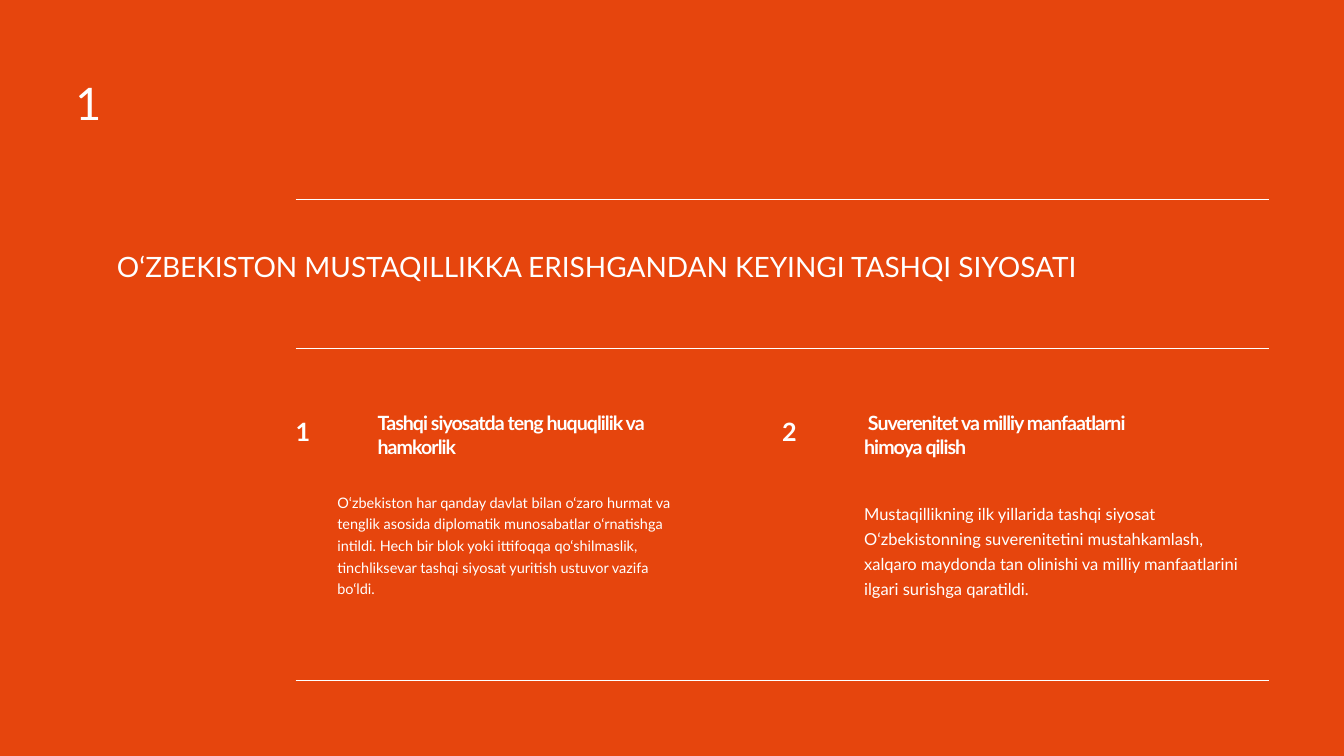
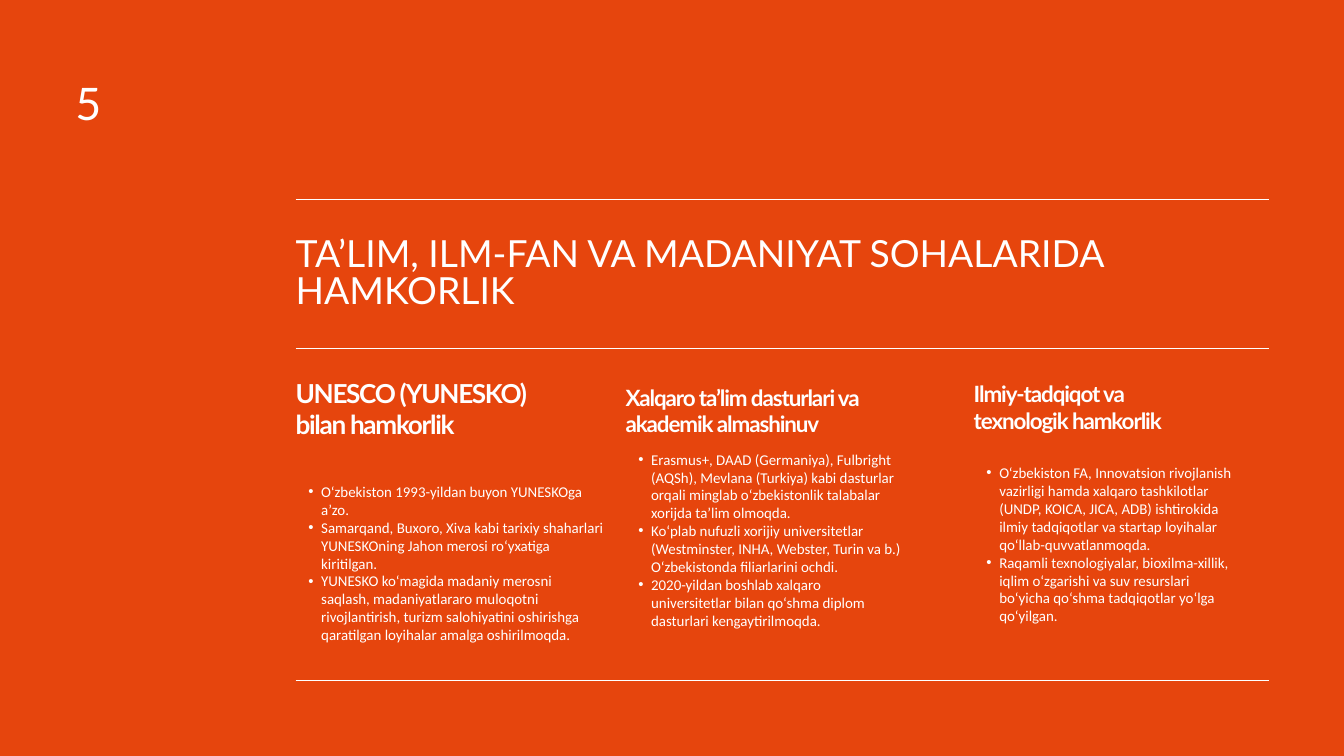
from lxml import etree
from pptx import Presentation
from pptx.dml.color import RGBColor
from pptx.enum.shapes import MSO_CONNECTOR
from pptx.enum.text import MSO_AUTO_SIZE
from pptx.oxml.ns import qn
from pptx.util import Inches, Pt

STRAIGHT = MSO_CONNECTOR.STRAIGHT
GROW = MSO_AUTO_SIZE.SHAPE_TO_FIT_TEXT

COLS, ROWS = 40, 22.5
CELL = Inches(0.5)
LEFT, RIGHT = 8.8, 37.76
RULES = (5.92, 10.38, 20.24)
ORANGE, WHITE = "E6450D", "FFFFFF"

FORMATS = {
    "number": {"name": "Lato", "size": 48, "leading": 1.2},
    "title": {"name": "Lato", "size": 40, "leading": 1},
    "heading": {"name": "Lato", "size": 24, "leading": 1.2, "bold": True, "tracking": -0.05},
    "marker": {"name": "Lato", "size": 27, "leading": 1.2, "bold": True},
    "body": {"name": "Lato", "size": 15.5, "leading": 1.5},
    "bullets": {"name": "Calibri", "size": 16, "leading": 1.2, "bullet": "•"},
}

POINTS = [
    ("1", LEFT, 11.24, 8.38, "Tashqi siyosatda teng huquqlilik va hamkorlik",
     (10.04, 14.56, 9.96, 3.22), 15.5,
     "O‘zbekiston har qanday davlat bilan o‘zaro hurmat va tenglik asosida diplomatik "
     "munosabatlar o‘rnatishga intildi. Hech bir blok yoki ittifoqqa qo‘shilmaslik, "
     "tinchliksevar tashqi siyosat yuritish ustuvor vazifa bo‘ldi."),
    ("2", 23.28, 25.72, 9.36, " Suverenitet va milliy manfaatlarni himoya qilish",
     (25.72, 14.86, 11.32, 2.9), 17.7,
     "Mustaqillikning ilk yillarida tashqi siyosat O‘zbekistonning suverenitetini "
     "mustahkamlash, xalqaro maydonda tan olinishi va milliy manfaatlarini ilgari "
     "surishga qaratildi."),
]

FIELDS = [
    (LEFT, (11.22, 7.08, 2.78), 28, "UNESCO (YUNESKO) bilan hamkorlik", (14.36, 9.16, 5.18), [
        "O‘zbekiston 1993-yildan buyon YUNESKOga a’zo.",
        "Samarqand, Buxoro, Xiva kabi tarixiy shaharlari YUNESKOning Jahon merosi "
        "ro‘yxatiga kiritilgan.",
        "YUNESKO ko‘magida madaniy merosni saqlash, madaniyatlararo muloqotni "
        "rivojlantirish, turizm salohiyatini oshirishga qaratilgan loyihalar amalga "
        "oshirilmoqda.",
    ]),
    (18.62, (11.42, 7.62, 1.58), 24, "Xalqaro ta’lim dasturlari va akademik almashinuv",
     (13.4, 8.22, 6.28), [
        "Erasmus+, DAAD (Germaniya), Fulbright (AQSh), Mevlana (Turkiya) kabi dasturlar "
        "orqali minglab o‘zbekistonlik talabalar xorijda ta’lim olmoqda.",
        "Ko‘plab nufuzli xorijiy universitetlar (Westminster, INHA, Webster, Turin va b.) "
        "O‘zbekistonda filiarlarini ochdi.",
        "2020-yildan boshlab xalqaro universitetlar bilan qo‘shma diplom dasturlari "
        "kengaytirilmoqda.",
    ]),
    (28.98, (11.32, 7.08, 1.58), 24, "Ilmiy-tadqiqot va texnologik hamkorlik",
     (13.8, 7.9, 5.22), [
        "O‘zbekiston FA, Innovatsion rivojlanish vazirligi hamda xalqaro tashkilotlar "
        "(UNDP, KOICA, JICA, ADB) ishtirokida ilmiy tadqiqotlar va startap loyihalar "
        "qo‘llab-quvvatlanmoqda.",
        "Raqamli texnologiyalar, bioxilma-xillik, iqlim o‘zgarishi va suv resurslari "
        "bo‘yicha qo‘shma tadqiqotlar yo‘lga qo‘yilgan.",
    ]),
]


def rgb(value):
    return RGBColor.from_string(value)


def cells(*counts):
    return [int(n * CELL) for n in counts]


class Deck:
    def __init__(self):
        self.prs = Presentation()
        self.prs.slide_width, self.prs.slide_height = cells(COLS, ROWS)
        self.s = None

    def slide(self, number, title, box, size):
        self.s = self.prs.slides.add_slide(self.prs.slide_layouts[6])
        fill = self.s.background.fill
        fill.solid()
        fill.fore_color.rgb = rgb(ORANGE)
        for row in RULES:
            self.rule(row)
        self.text("number", (2.24, 2.24, 2.44, 1.58), number)
        self.text("title", box, title, size=size)

    def rule(self, row):
        line = self.s.shapes.add_connector(STRAIGHT, *cells(LEFT, row, RIGHT, row))
        line.line.color.rgb = rgb(WHITE)
        line.line.width = Pt(0.75)
        etree.SubElement(line._element.spPr, qn("a:effectLst"))

    def bullet(self, p, mark):
        pPr = p._p.get_or_add_pPr()
        indent = Inches(0.19)
        pPr.set("marL", str(2 * indent))
        pPr.set("indent", str(-indent))
        etree.SubElement(pPr, qn("a:buFont")).set("typeface", "Arial")
        etree.SubElement(pPr, qn("a:buChar")).set("char", mark)

    def text(self, kind, box, *paragraphs, size=None):
        fmt = FORMATS[kind]
        size = size or fmt["size"]
        tf = self.s.shapes.add_textbox(*cells(*box)).text_frame
        tf.word_wrap = True
        tf.auto_size = GROW
        for side in ("left", "top", "right", "bottom"):
            setattr(tf, f"margin_{side}", 0)
        look = {"name": fmt["name"], "size": Pt(size), "bold": fmt.get("bold", False)}
        for i, words in enumerate(paragraphs):
            p = tf.add_paragraph() if i else tf.paragraphs[0]
            if "bullet" in fmt:
                self.bullet(p, fmt["bullet"])
            p.line_spacing = Pt(size * fmt["leading"])
            r = p.add_run()
            r.text = words
            for key, value in look.items():
                setattr(r.font, key, value)
            r.font.color.rgb = rgb(WHITE)
            if "tracking" in fmt:
                r._r.get_or_add_rPr().set("spc", str(round(size * fmt["tracking"] * 100)))

    def save(self):
        self.prs.save("out.pptx")


def policy_slide(deck):
    deck.slide("1", "O‘ZBEKISTON MUSTAQILLIKKA ERISHGANDAN KEYINGI TASHQI SIYOSATI",
               (3.48, 7.6, 34.28, 1.76), 30)
    for marker, marker_x, heading_x, width, heading, box, size, body in POINTS:
        deck.text("marker", (marker_x, 12.38, 1.46, 0.9), marker)
        deck.text("heading", (heading_x, 12.24, width, 1.4), heading, size=21)
        deck.text("body", box, body, size=size)


def culture_slide(deck):
    deck.slide("5", "TA’LIM, ILM-FAN VA MADANIYAT SOHALARIDA HAMKORLIK",
               (LEFT, 7.06, RIGHT - LEFT, 2.28), 40)
    for x, heading_box, size, heading, list_box, items in FIELDS:
        for kind, (top, width, height), words, points in (
            ("heading", heading_box, [heading], size),
            ("bullets", list_box, items, None),
        ):
            deck.text(kind, (x, top, width, height), *words, size=points)


def main():
    deck = Deck()
    policy_slide(deck)
    culture_slide(deck)
    deck.save()


if __name__ == "__main__":
    main()
